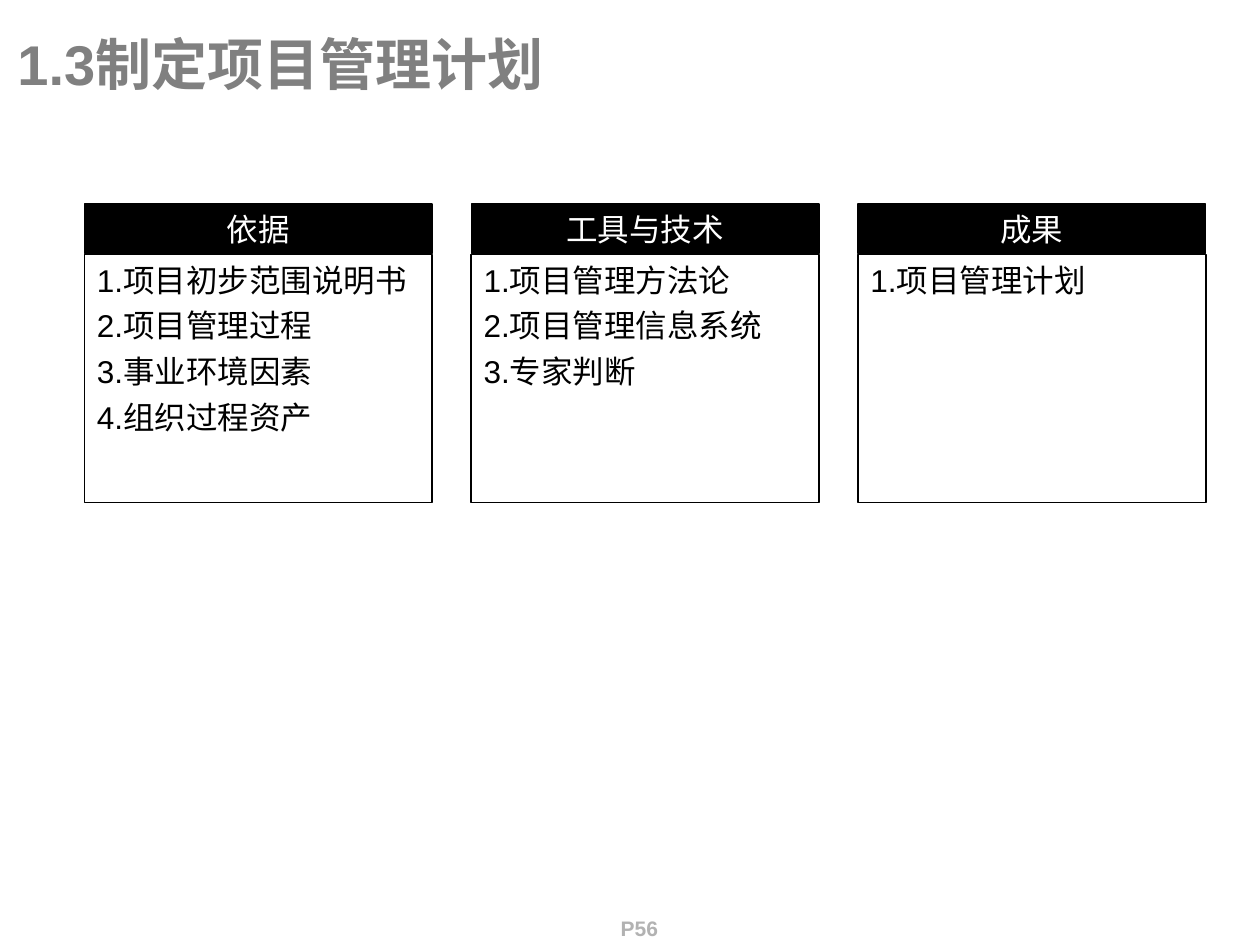
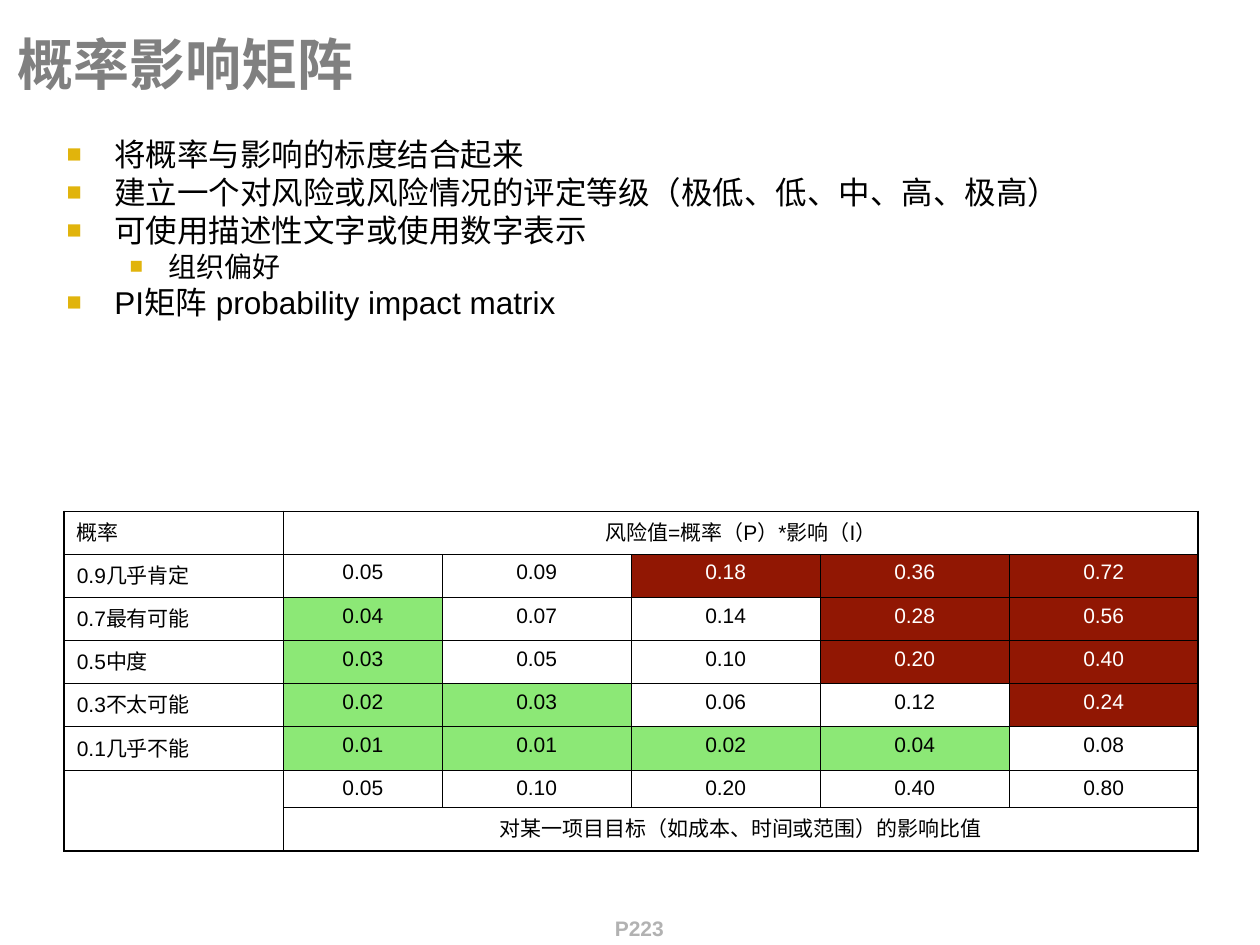
import dataclasses

import pptx
import pptx.dml.color
import pptx.enum.lang
import pptx.enum.shapes
import pptx.enum.text
import pptx.oxml
import pptx.oxml.ns
import pptx.util

ALIGN = pptx.enum.text.PP_ALIGN
ANCHOR = pptx.enum.text.MSO_ANCHOR


@dataclasses.dataclass(frozen=True)
class Theme:
    width: float = 10
    height: float = 7.5
    font: str = "Arial"
    black: str = "000000"
    white: str = "FFFFFF"
    title: str = "808080"
    footer: str = "B2B2B2"
    marker: str = "E1B40C"
    high_risk: str = "911703"
    low_risk: str = "8CE876"
    title_size: int = 32
    text_size: int = 18
    sub_size: int = 16
    small_size: int = 12
    item_gap: float = 4.5
    sub_gap: float = 4
    outer_border: float = 1.08
    inner_border: float = 0.45


THEME = Theme()

PROCESS_COLUMNS = [
    ("依据", ["项目初步范围说明书", "项目管理过程", "事业环境因素", "组织过程资产"]),
    ("工具与技术", ["项目管理方法论", "项目管理信息系统", "专家判断"]),
    ("成果", ["项目管理计划"]),
]

MATRIX_POINTS = [
    (0, "将概率与影响的标度结合起来"),
    (0, "建立一个对风险或风险情况的评定等级（极低、低、中、高、极高）"),
    (0, "可使用描述性文字或使用数字表示"),
    (1, "组织偏好"),
    (0, "PI矩阵 probability impact matrix"),
]

RISK_ROWS = [
    ("0.9几乎肯定", [0.05, 0.09, 0.18, 0.36, 0.72]),
    ("0.7最有可能", [0.04, 0.07, 0.14, 0.28, 0.56]),
    ("0.5中度", [0.03, 0.05, 0.10, 0.20, 0.40]),
    ("0.3不太可能", [0.02, 0.03, 0.06, 0.12, 0.24]),
    ("0.1几乎不能", [0.01, 0.01, 0.02, 0.04, 0.08]),
]
IMPACT_SCALE = [0.05, 0.10, 0.20, 0.40, 0.80]


def across(percent):
    return pptx.util.Inches(THEME.width * percent / 100)


def down(percent):
    return pptx.util.Inches(THEME.height * percent / 100)


def area(left, top, width, height):
    return across(left), down(top), across(width), down(height)


def rgb(color):
    return pptx.dml.color.RGBColor.from_string(color)


def add_run(paragraph, text, size, color, bold=False):
    run = paragraph.add_run()
    run.text = text
    run.font.size = pptx.util.Pt(size)
    run.font.bold = bold
    run.font.name = THEME.font
    run.font.color.rgb = rgb(color)
    run.font.language_id = pptx.enum.lang.MSO_LANGUAGE_ID.SIMPLIFIED_CHINESE
    east_asian = run.font._element.makeelement(
        pptx.oxml.ns.qn("a:ea"), {"typeface": THEME.font})
    run.font._element.append(east_asian)


def paragraphs_for(frame, items):
    for index, item in enumerate(items):
        paragraph = frame.add_paragraph() if index else frame.paragraphs[0]
        yield index, paragraph, item


def add_label(slide, place, text, size, color, align, wrap=True):
    frame = slide.shapes.add_textbox(*place).text_frame
    frame.word_wrap = wrap
    frame.vertical_anchor = ANCHOR.MIDDLE
    frame.paragraphs[0].alignment = align
    add_run(frame.paragraphs[0], text, size, color, bold=True)


def add_page(deck, title, page):
    slide = deck.slides.add_slide(deck.slide_layouts[6])
    add_label(slide, area(47.6, 96, 6.3, 4.4), page,
              THEME.small_size, THEME.footer, ALIGN.CENTER, wrap=False)
    add_label(slide, area(0.4, 2.27, 99.6, 8.8), title,
              THEME.title_size, THEME.title, ALIGN.LEFT)
    return slide


def add_panel(slide, place, lines, color, fill, border, align):
    panel = slide.shapes.add_shape(
        pptx.enum.shapes.MSO_SHAPE.RECTANGLE, *place)
    panel.shadow.inherit = False
    if fill:
        panel.fill.solid()
        panel.fill.fore_color.rgb = rgb(fill)
    else:
        panel.fill.background()
    panel.line.color.rgb = rgb(THEME.black)
    panel.line.width = pptx.util.Pt(border)
    frame = panel.text_frame
    frame.word_wrap = True
    frame.vertical_anchor = ANCHOR.TOP
    for index, paragraph, line in paragraphs_for(frame, lines):
        paragraph.alignment = align
        if index:
            paragraph.space_before = pptx.util.Pt(THEME.item_gap)
        add_run(paragraph, line, THEME.text_size, color)


def add_process_column(slide, position, heading, items):
    left = 6.7 + position * 30.7
    add_panel(slide, area(left, 21.6, 27.6, 5.2), [heading],
              THEME.white, THEME.black, 0.75, ALIGN.CENTER)
    numbered = [f"{number}.{item}" for number, item in enumerate(items, 1)]
    add_panel(slide, area(left, 26.93, 27.6, 26.27), numbered,
              THEME.black, None, 1, ALIGN.LEFT)


def add_marker(paragraph, left, hanging):
    properties = paragraph._p.get_or_add_pPr()
    properties.set("marL", str(pptx.util.Inches(left)))
    properties.set("indent", str(-pptx.util.Inches(hanging)))
    namespace = pptx.oxml.ns.nsdecls("a")
    for xml in (
        f'<a:buClr {namespace}><a:srgbClr val="{THEME.marker}"/></a:buClr>',
        f'<a:buSzPct {namespace} val="80000"/>',
        f'<a:buFont {namespace} typeface="{THEME.font}"/>',
        f'<a:buChar {namespace} char="■"/>',
    ):
        properties.append(pptx.oxml.parse_xml(xml))


def add_bullets(slide, place, points):
    levels = [
        (0.38, 0.38, THEME.text_size, THEME.item_gap),
        (0.81, 0.31, THEME.sub_size, THEME.sub_gap),
    ]
    frame = slide.shapes.add_textbox(*place).text_frame
    frame.word_wrap = True
    for index, paragraph, (level, text) in paragraphs_for(frame, points):
        left, hanging, size, gap = levels[level]
        add_marker(paragraph, left, hanging)
        paragraph.level = level
        paragraph.line_spacing = 0.8
        if index:
            paragraph.space_before = pptx.util.Pt(gap)
        add_run(paragraph, text, size, THEME.black)


def set_borders(cell, outer_sides):
    properties = cell._tc.get_or_add_tcPr()
    for position, side in enumerate("LRTB"):
        weight = THEME.outer_border if side in outer_sides else THEME.inner_border
        properties.insert(position, pptx.oxml.parse_xml(
            f'<a:ln{side} {pptx.oxml.ns.nsdecls("a")} w="{pptx.util.Pt(weight)}">'
            f'<a:solidFill><a:srgbClr val="{THEME.black}"/></a:solidFill>'
            f'</a:ln{side}>'))


def write_cell(cell, text, align=ALIGN.CENTER, color=THEME.black):
    paragraph = cell.text_frame.paragraphs[0]
    paragraph.alignment = align
    add_run(paragraph, text, THEME.small_size, color)


def write_chinese_cell(cell, text, align=ALIGN.CENTER):
    cell.margin_top = pptx.util.Inches(0.08)
    write_cell(cell, text, align)


def write_risk(cell, risk):
    color, fill = THEME.black, None
    if risk >= 0.18:
        color, fill = THEME.white, THEME.high_risk
    elif risk <= 0.04:
        fill = THEME.low_risk
    if fill:
        cell.fill.solid()
        cell.fill.fore_color.rgb = rgb(fill)
    write_cell(cell, f"{risk:.2f}", color=color)


def add_risk_matrix(slide):
    column_shares = [17.4, 12.6] + [15] * 4
    row_shares = [4.56] * 6 + [4, 4.56]
    last_row, last_column = len(row_shares) - 1, len(column_shares) - 1
    frame = slide.shapes.add_table(
        len(row_shares), len(column_shares),
        *area(5.1, 54.13, sum(column_shares), sum(row_shares)))
    matrix = frame.table
    matrix.first_row = matrix.horz_banding = False
    for column, share in zip(matrix.columns, column_shares):
        column.width = across(share)
    for row, share in zip(matrix.rows, row_shares):
        row.height = down(share)
    for r in range(last_row + 1):
        for c in range(last_column + 1):
            cell = matrix.cell(r, c)
            cell.fill.background()
            edges = {"L": c == 0, "R": c == last_column,
                     "T": r == 0, "B": r == last_row}
            set_borders(cell, [side for side, outer in edges.items() if outer])
    for r in (0, last_row):
        matrix.cell(r, 1).merge(matrix.cell(r, last_column))
        set_right = matrix.cell(r, 1)._tc.tcPr.find(pptx.oxml.ns.qn("a:lnR"))
        set_right.set("w", str(pptx.util.Pt(THEME.outer_border)))
    scale_row = last_row - 1
    matrix.cell(scale_row, 0).merge(matrix.cell(last_row, 0))
    set_bottom = matrix.cell(scale_row, 0)._tc.tcPr.find(pptx.oxml.ns.qn("a:lnB"))
    set_bottom.set("w", str(pptx.util.Pt(THEME.outer_border)))

    write_chinese_cell(matrix.cell(0, 0), "概率", ALIGN.LEFT)
    write_chinese_cell(matrix.cell(0, 1), "风险值=概率（P）*影响（I）")
    for r, (likelihood, risks) in enumerate(RISK_ROWS, 1):
        write_chinese_cell(matrix.cell(r, 0), likelihood, ALIGN.LEFT)
        for c, risk in enumerate(risks, 1):
            write_risk(matrix.cell(r, c), risk)
    for c, impact in enumerate(IMPACT_SCALE, 1):
        write_cell(matrix.cell(scale_row, c), f"{impact:.2f}")
    write_chinese_cell(matrix.cell(last_row, 1),
                       "对某一项目目标（如成本、时间或范围）的影响比值")


def main():
    deck = pptx.Presentation()
    deck.slide_width, deck.slide_height = across(100), down(100)

    plan = add_page(deck, "1.3制定项目管理计划", "P56")
    for position, (heading, items) in enumerate(PROCESS_COLUMNS):
        add_process_column(plan, position, heading, items)

    risk = add_page(deck, "概率影响矩阵", "P223")
    add_bullets(risk, area(4.3, 14.4, 92.1, 32.8), MATRIX_POINTS)
    add_risk_matrix(risk)

    deck.save("out.pptx")


if __name__ == "__main__":
    main()
